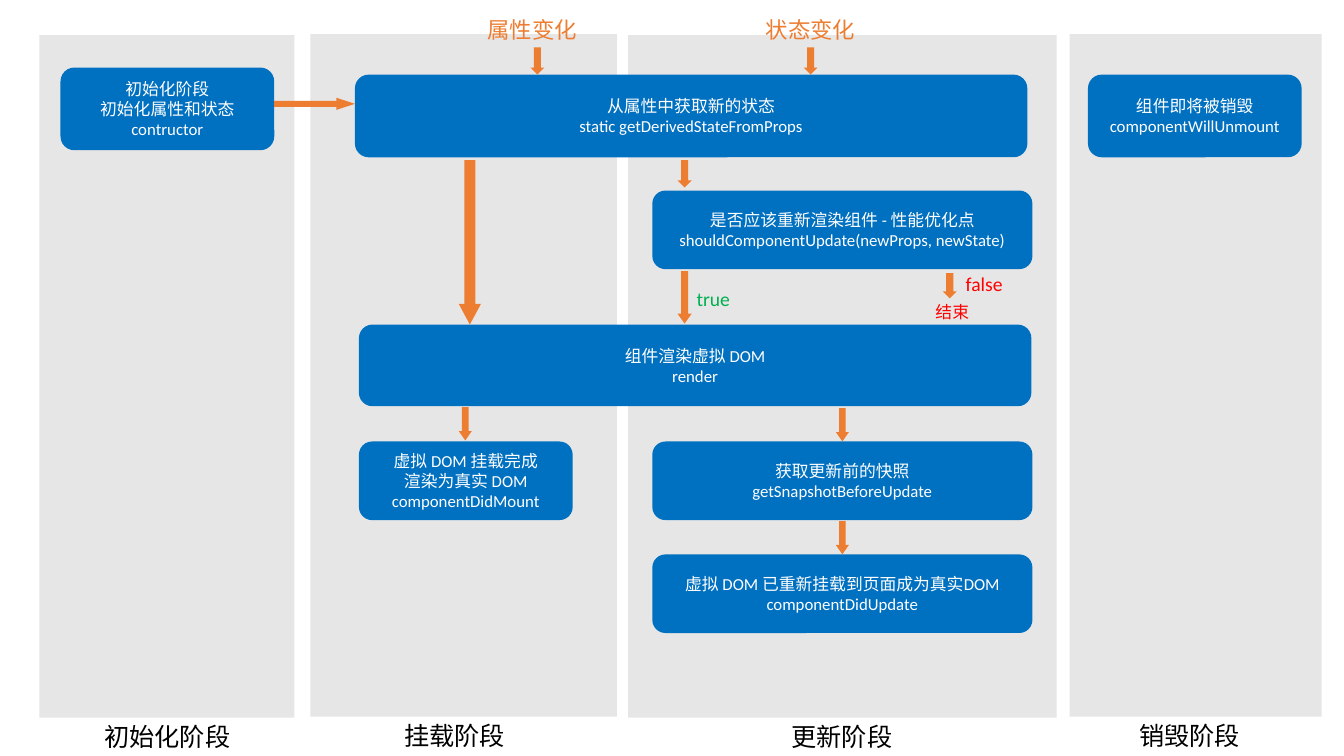
"""Draw the four phases of a component life cycle as a flow chart."""
from pptx import Presentation
from pptx.dml.color import RGBColor
from pptx.enum.shapes import MSO_SHAPE
from pptx.enum.text import MSO_ANCHOR, MSO_AUTO_SIZE, PP_ALIGN
from pptx.util import Inches, Pt

RECT, ROUND = MSO_SHAPE.RECTANGLE, MSO_SHAPE.ROUNDED_RECTANGLE
DOWN, RIGHT = MSO_SHAPE.DOWN_ARROW, MSO_SHAPE.RIGHT_ARROW
LEFT, CENTER = PP_ALIGN.LEFT, PP_ALIGN.CENTER
MIDDLE, TOP = MSO_ANCHOR.MIDDLE, MSO_ANCHOR.TOP
GROW = MSO_AUTO_SIZE.SHAPE_TO_FIT_TEXT

GRAY = RGBColor(0xE7, 0xE6, 0xE6)
BLUE = RGBColor(0x00, 0x70, 0xC0)
ORANGE = RGBColor(0xED, 0x7D, 0x31)
WHITE = RGBColor(0xFF, 0xFF, 0xFF)
BLACK = RGBColor(0x00, 0x00, 0x00)
RED = RGBColor(0xFF, 0x00, 0x00)
GREEN = RGBColor(0x00, 0xB0, 0x50)

LATIN, HAN = "Calibri", "Noto Sans CJK SC"
LANE_H, LABEL_W = 6.77, 2.1
SLIM, WIDE, FULL = 2.12, 3.77, 6.67
LOW, HIGH = 0.78, 0.82
MOUNT_X, UPDATE_X = 3.56, 6.47

LANES = [
    ("初始化阶段", 0.39, 0.35, 2.53, 0.61),
    ("挂载阶段", 3.08, 0.34, 3.04, 3.46),
    ("更新阶段", 6.23, 0.35, 4.25, 7.3),
    ("销毁阶段", 10.61, 0.34, 2.5, 10.75),
]
STEPS = [
    (["初始化阶段", "初始化属性和状态", "contructor"], 0.6, 0.67, SLIM, HIGH),
    (["从属性中获取新的状态", "static getDerivedStateFromProps"], 3.52, 0.74, FULL, HIGH),
    (["是否应该重新渲染组件 - 性能优化点", "shouldComponentUpdate(newProps, newState)"],
     UPDATE_X, 1.89, WIDE, LOW),
    (["组件渲染虚拟 DOM", "render"], MOUNT_X, 3.22, FULL, 0.81),
    (["虚拟 DOM 挂载完成", "渲染为真实 DOM", "componentDidMount"], MOUNT_X, 4.38, SLIM, LOW),
    (["获取更新前的快照", "getSnapshotBeforeUpdate"], UPDATE_X, 4.38, WIDE, LOW),
    (["虚拟 DOM 已重新挂载到页面成为真实DOM", "componentDidUpdate"], UPDATE_X, 5.5, WIDE, LOW),
    (["组件即将被销毁", "componentWillUnmount"], 10.79, 0.74, SLIM, HIGH),
]
ARROWS = [
    (RIGHT, 2.72, 0.97, 0.8, 0.12, 1.517),
    (DOWN, 5.26, 0.47, 0.14, 0.27, 0.5),
    (DOWN, 7.97, 0.47, 0.14, 0.27, 0.5),
    (DOWN, 6.72, 1.59, 0.14, 0.27, 0.5),
    (DOWN, 4.55, 1.59, 0.22, 1.63, 0.932),
    (DOWN, 6.72, 2.69, 0.14, 0.52, 0.697),
    (DOWN, 9.35, 2.71, 0.14, 0.25, 0.5),
    (DOWN, 4.55, 4.04, 0.13, 0.33, 0.718),
    (DOWN, 8.29, 4.05, 0.13, 0.33, 0.718),
    (DOWN, 8.29, 5.17, 0.13, 0.33, 0.718),
]
CAUSES = [("属性变化", 4.23), ("状态变化", 6.99)]
RESULTS = [
    ("false", 9.48, 2.65, 0.34, 14, RED, LATIN),
    ("true", 6.81, 2.8, 0.34, 14, GREEN, LATIN),
    ("结束", 9.18, 2.94, 0.3, 12, RED, HAN),
]


def write(shape, lines, size=12, color=WHITE, font=LATIN, align=CENTER, anchor=MIDDLE):
    frame = shape.text_frame
    frame.word_wrap = True
    frame.vertical_anchor = anchor
    frame.text = "\n".join(lines)
    for para in frame.paragraphs:
        para.alignment = align
        para.font.size = Pt(size)
        para.font.name = font
        para.font.color.rgb = color


def block(slide, kind, box, fill):
    shape = slide.shapes.add_shape(kind, *map(Inches, box))
    shape.shadow.inherit = False
    shape.fill.solid()
    shape.fill.fore_color.rgb = fill
    shape.line.fill.background()
    return shape


def label(slide, text, box, **style):
    shape = slide.shapes.add_textbox(*map(Inches, box))
    write(shape, [text], anchor=TOP, **style)
    shape.text_frame.auto_size = GROW


def main():
    deck = Presentation()
    deck.slide_width, deck.slide_height = Inches(13.33), Inches(7.5)
    slide = deck.slides.add_slide(deck.slide_layouts[6])

    for name, x, y, width, text_x in LANES:
        block(slide, RECT, (x, y, width, LANE_H), GRAY)
        label(slide, name, (text_x, y + LANE_H - 0.01, LABEL_W, 0.4), size=18, color=BLACK)
    for lines, *box in STEPS:
        write(block(slide, ROUND, box, BLUE), lines)
    for kind, *box, head in ARROWS:
        block(slide, kind, box, ORANGE).adjustments[1] = head
    for text, x in CAUSES:
        label(slide, text, (x, 0.11, LABEL_W, 0.37), size=16, color=ORANGE)
    for text, x, y, height, size, color, font in RESULTS:
        label(slide, text, (x, y, 0.75, height), size=size, color=color, font=font, align=LEFT)

    deck.save("out.pptx")


if __name__ == "__main__":
    main()
